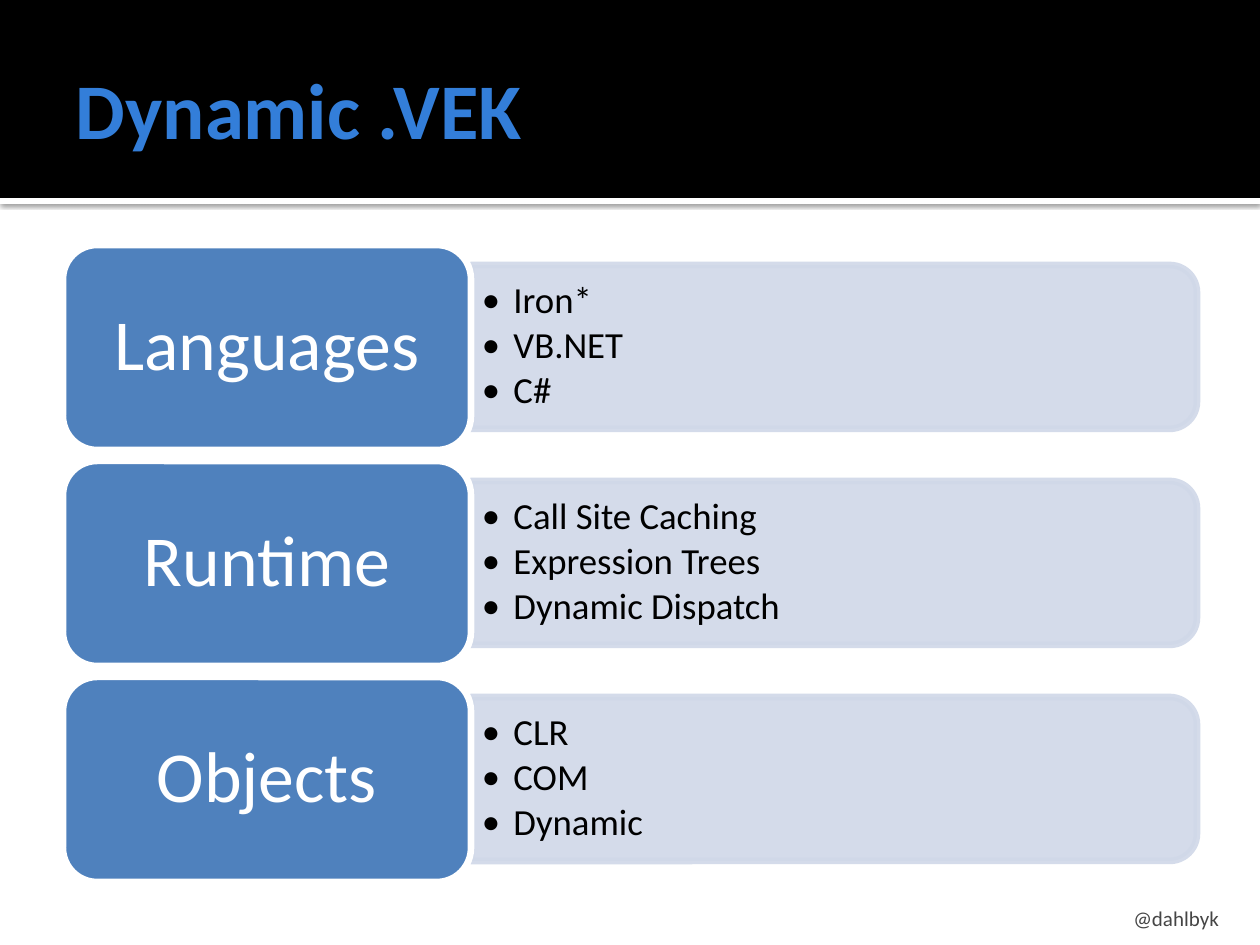
import pptx
import pptx.util
import pptx.dml.color
import pptx.enum.shapes
import pptx.enum.text
import pptx.oxml
import pptx.oxml.ns

SCALE = 914400 / 126
FONT = "Calibri"
HUES = {"black": "000000", "white": "FFFFFF", "title": "337ED9",
        "panel": "D0D8E8", "tile": "4F81BD", "foot": "454545"}
ROWS = [
    ("Languages", ["Iron*", "VB.NET", "C#"]),
    ("Runtime", ["Call Site Caching", "Expression Trees", "Dynamic Dispatch"]),
    ("Objects", ["CLR", "COM", "Dynamic"]),
]
KIND = pptx.enum.shapes.MSO_SHAPE
ALIGN = pptx.enum.text.PP_ALIGN
ANCHOR = pptx.enum.text.MSO_ANCHOR
SPACE = 'xmlns:a="http://schemas.openxmlformats.org/drawingml/2006/main"'


def px(num):
    """Turn pixels into EMU."""
    return pptx.util.Emu(round(num * SCALE))


def hue(name):
    """Give the named colour."""
    return pptx.dml.color.RGBColor.from_string(HUES[name])


def fade(color, part):
    """Set the opacity of a solid fill."""
    color.append(pptx.oxml.parse_xml(f'<a:alpha {SPACE} val="{part * 1000}"/>'))


def draw(slide, kind, box, fill, line=None):
    """Add a filled shape with an optional outline."""
    shape = slide.shapes.add_shape(kind, *map(px, box))
    shape.shadow.inherit = False
    shape.fill.solid()
    shape.fill.fore_color.rgb = hue(fill)
    if line:
        shape.line.color.rgb = hue(line)
        shape.line.width = pptx.util.Pt(3.78)
    else:
        shape.line.fill.background()
    return shape


def write(shape, lines, size, color, align, anchor, inset, bold=False, lead=1.0):
    """Fill a shape with lines of text and return its paragraphs."""
    frame = shape.text_frame
    frame.word_wrap = True
    frame.vertical_anchor = anchor
    (frame.margin_left, frame.margin_top,
     frame.margin_right, frame.margin_bottom) = map(px, inset)
    for num, text in enumerate(lines):
        para = frame.add_paragraph() if num else frame.paragraphs[0]
        para.alignment = align
        para.line_spacing = lead
        run = para.add_run()
        run.text = text
        run.font.name = FONT
        run.font.size = pptx.util.Pt(size)
        run.font.bold = bold
        run.font.color.rgb = hue(color)
    return frame.paragraphs


def header(slide, left, top, wide, high):
    """Draw the title band with its shaded white edge."""
    edge = draw(slide, KIND.RECTANGLE, (left, top + high, wide, 6), "white")
    glow = edge.element.spPr.find(pptx.oxml.ns.qn("a:effectLst"))
    glow.append(pptx.oxml.parse_xml(
        f'<a:outerShdw {SPACE} blurRad="31750" dist="10160" dir="5400000" '
        'algn="tl" rotWithShape="0"><a:srgbClr val="000000">'
        '<a:alpha val="60000"/></a:srgbClr></a:outerShdw>'))
    draw(slide, KIND.RECTANGLE, (left, top, wide, high), "black")
    box = slide.shapes.add_textbox(
        px(left + 63), px(top + 22), px(wide - 126), px(high - 25))
    write(box, ["Dynamic .VEK"], 45, "title", ALIGN.LEFT, ANCHOR.MIDDLE,
          (13, 6, 6, 6), bold=True)


def panel(slide, items, left, top, wide, high):
    """Draw a bulleted panel rounded on its right side."""
    turned = (left + (wide - high) / 2, top + (high - wide) / 2, high, wide)
    shape = draw(slide, KIND.ROUND_2_SAME_RECTANGLE, turned, "panel", "panel")
    shape.rotation = 90
    for color in shape.element.spPr.iter(pptx.oxml.ns.qn("a:srgbClr")):
        fade(color, 90)
    box = slide.shapes.add_textbox(
        px(left), px(top + 8), px(wide - 8), px(high - 16))
    for para in write(box, items, 21, "black", ALIGN.LEFT, ANCHOR.MIDDLE,
                      (11, 5, 11, 5), lead=0.9):
        para.space_after = pptx.util.Pt(3)
        props = para._p.get_or_add_pPr()
        props.set("marL", "228600")
        props.set("indent", "-228600")
        for mark in ('buFont {} typeface="Calibri"', 'buChar {} char="•"'):
            props.append(pptx.oxml.parse_xml(f"<a:{mark.format(SPACE)}/>"))


def row(slide, label, items, left, top, wide, high):
    """Draw one label tile with its panel."""
    tile = 408
    panel(slide, items, left + tile, top + 20, wide - tile, high - 41)
    shape = draw(slide, KIND.ROUNDED_RECTANGLE, (left, top, tile, high),
                 "tile", "white")
    write(shape, [label], 41, "white", ALIGN.CENTER, ANCHOR.MIDDLE,
          (21, 11, 21, 11), lead=0.9)


def footer(slide, left, top, wide, high):
    """Write the handle at the lower right."""
    box = slide.shapes.add_textbox(*map(px, (left, top, wide, high)))
    write(box, ["@dahlbyk"], 12, "foot", ALIGN.RIGHT, ANCHOR.BOTTOM,
          (13, 6, 13, 0))


def main():
    """Build and save the slide."""
    deck = pptx.Presentation()
    deck.slide_width, deck.slide_height = px(1260), px(945)
    slide = deck.slides.add_slide(deck.slide_layouts[6])
    header(slide, 0, 0, 1260, 198)
    for num, (label, items) in enumerate(ROWS):
        row(slide, label, items, 63, 245 + 216 * num, 1134, 205)
    footer(slide, 903, 893, 329, 38)
    deck.save("out.pptx")


main()
